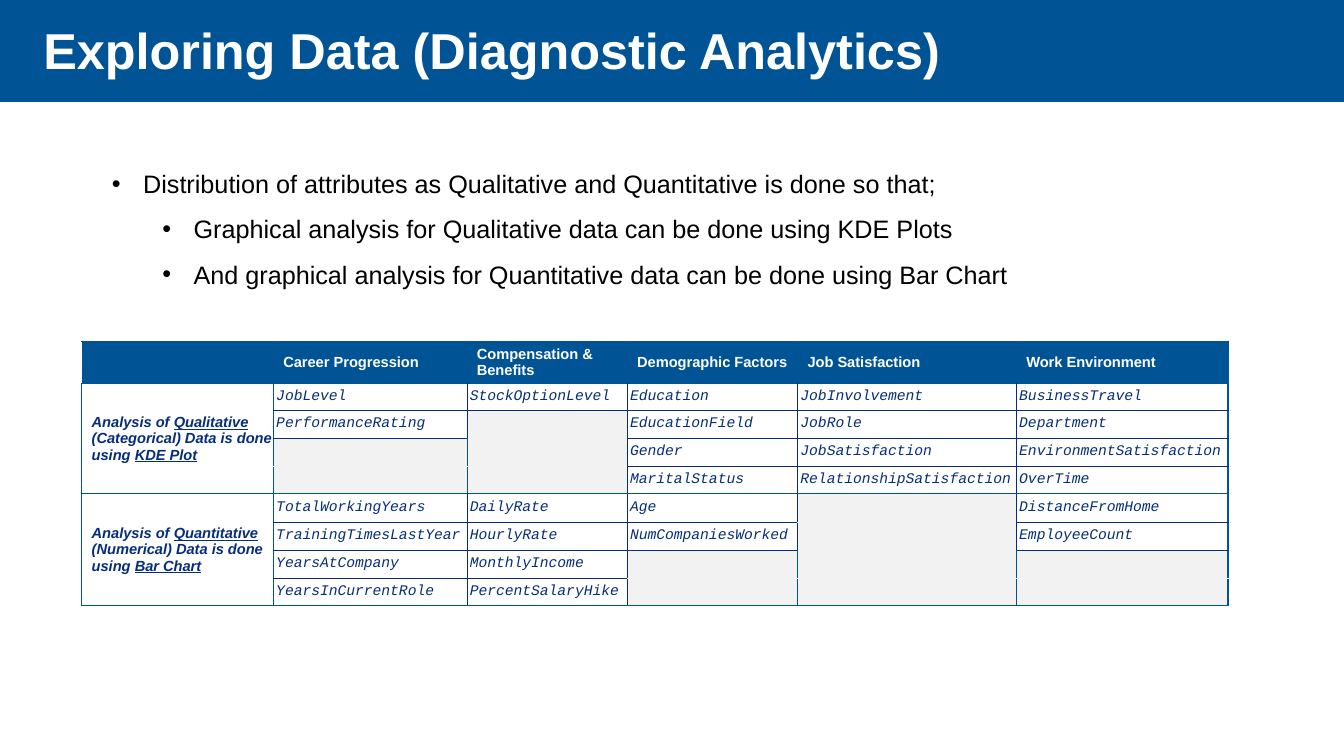
from dataclasses import dataclass

from lxml import etree
from pptx import Presentation
from pptx.dml.color import RGBColor
from pptx.enum.shapes import MSO_SHAPE
from pptx.enum.text import MSO_ANCHOR, MSO_AUTO_SIZE, PP_ALIGN
from pptx.oxml.ns import qn
from pptx.util import Inches, Pt

RECT = MSO_SHAPE.RECTANGLE
TOP, MIDDLE = MSO_ANCHOR.TOP, MSO_ANCHOR.MIDDLE
FIXED = MSO_AUTO_SIZE.NONE
LEFT = PP_ALIGN.LEFT

COLORS = {"blue": "005495", "navy": "062D7B", "grey": "F2F2F2",
          "white": "FFFFFF", "black": "000000"}
CELL_SIZE = 10.5
HEADER_HEIGHT, ROW_HEIGHT = 0.42, 0.26
COLUMN_WIDTHS = [1.9, 1.92, 1.59, 1.69, 2.17, 2.1]
HEADERS = ["", "Career Progression", "Compensation & Benefits",
           "Demographic Factors", "Job Satisfaction", "Work Environment"]
BULLETS = [
    (0, "Distribution of attributes as Qualitative and Quantitative is done so that;"),
    (1, "Graphical analysis for Qualitative data can be done using KDE Plots"),
    (1, "And graphical analysis for Quantitative data can be done using Bar Chart"),
]


@dataclass
class Group:
    kind: str
    category: str
    plot: str
    attributes: list[list[str]]


@dataclass
class Edge:
    color: str
    width: float


GROUPS = [
    Group("Qualitative", "Categorical", "KDE Plot", [
        ["JobLevel", "StockOptionLevel", "Education", "JobInvolvement", "BusinessTravel"],
        ["PerformanceRating", "", "EducationField", "JobRole", "Department"],
        ["", "", "Gender", "JobSatisfaction", "EnvironmentSatisfaction"],
        ["", "", "MaritalStatus", "RelationshipSatisfaction", "OverTime"],
    ]),
    Group("Quantitative", "Numerical", "Bar Chart", [
        ["TotalWorkingYears", "DailyRate", "Age", "", "DistanceFromHome"],
        ["TrainingTimesLastYear", "HourlyRate", "NumCompaniesWorked", "", "EmployeeCount"],
        ["YearsAtCompany", "MonthlyIncome", "", "", ""],
        ["YearsInCurrentRole", "PercentSalaryHike", "", "", ""],
    ]),
]
GROUP_ROWS = len(GROUPS[0].attributes)
GRID = [HEADERS] + [[g.kind] + row for g in GROUPS for row in g.attributes]
ROWS, COLS = len(GRID), len(HEADERS)


def rgb(name: str) -> RGBColor:
    return RGBColor.from_string(COLORS[name])


def add_text(p, text: str, *, size: float = CELL_SIZE, font: str = "Arial",
             color: str = "navy", bold: bool = False, italic: bool = False,
             underline: bool = False) -> None:
    r = p.add_run()
    r.text = text
    f = r.font
    f.name, f.size, f.bold, f.italic, f.underline = font, Pt(size), bold, italic, underline
    f.color.rgb = rgb(color)


def place(shape, left: float, top: float, width: float, height: float) -> None:
    shape.left, shape.top = Inches(left), Inches(top)
    shape.width, shape.height = Inches(width), Inches(height)


def add_title(s) -> None:
    title = s.shapes.title
    place(title, 0.33, 0.08, 12.72, 0.82)
    tf = title.text_frame
    tf.vertical_anchor, tf.auto_size = MIDDLE, FIXED
    p = tf.paragraphs[0]
    p.alignment = LEFT
    add_text(p, "Exploring Data (Diagnostic Analytics)", size=36, color="white", bold=True)

    band = s.shapes.add_shape(RECT, 0, 0, Inches(13.33), Inches(1))
    band.shadow.inherit = False
    band.fill.solid()
    band.fill.fore_color.rgb = rgb("blue")
    band.line.color.rgb = rgb("blue")
    band.line.width = Pt(2)
    title.element.addprevious(band.element)


def add_bullets(s) -> None:
    body = s.placeholders[1]
    place(body, 1.01, 1.47, 9.17, 1.41)
    tf = body.text_frame
    tf.word_wrap, tf.vertical_anchor, tf.auto_size = True, TOP, FIXED
    for i, (level, text) in enumerate(BULLETS):
        p = tf.add_paragraph() if i else tf.paragraphs[0]
        p.level, p.line_spacing, p.space_before = level, 1.5, Pt(0)
        pPr = p._p.get_or_add_pPr()
        pPr.set("marL", str(Inches(0.31 + 0.5 * level)))
        pPr.set("indent", str(Inches(-0.31)))
        etree.SubElement(pPr, qn("a:buFont"), typeface="Arial")
        etree.SubElement(pPr, qn("a:buChar"), char="•")
        add_text(p, text, size=18, color="black")


def horizontal_edge(row: int, col: int) -> Edge:
    """Line above the given row; row may be one past the last."""
    if row <= 1:
        return Edge("blue", 0.25)
    if (row - 1) % GROUP_ROWS == 0:
        return Edge("blue", 1)
    if not GRID[row - 1][col] and not GRID[row][col]:
        return Edge("grey", 0.25)
    return Edge("navy", 0.25)


def vertical_edge(row: int, col: int) -> Edge:
    """Line left of the given column; col may be one past the last."""
    outer = col in (0, COLS)
    if row == 0:
        return Edge("blue", 0.25 if outer else 1)
    if outer or col == 1:
        return Edge("blue", 1)
    if not GRID[row][col - 1] and not GRID[row][col]:
        return Edge("blue", 0.25)
    return Edge("navy", 0.25)


def set_borders(cell, row: int, col: int) -> None:
    edges = {"a:lnL": vertical_edge(row, col),
             "a:lnR": vertical_edge(row, col + 1),
             "a:lnT": horizontal_edge(row, col),
             "a:lnB": horizontal_edge(row + cell.span_height, col)}
    tcPr = cell._tc.get_or_add_tcPr()
    for i, (tag, edge) in enumerate(edges.items()):
        ln = etree.Element(qn(tag), w=str(Pt(edge.width)))
        fill = etree.SubElement(ln, qn("a:solidFill"))
        etree.SubElement(fill, qn("a:srgbClr"), val=COLORS[edge.color])
        tcPr.insert(i, ln)


def fill_cell(cell, row: int, col: int) -> None:
    text = GRID[row][col]
    p = cell.text_frame.paragraphs[0]
    cell.vertical_anchor = MIDDLE
    cell.margin_left = Inches(0.1 if row == 0 or col == 0 else 0.03)
    cell.margin_right = Inches(0.01)
    cell.margin_top = cell.margin_bottom = Inches(0.05)
    cell.fill.solid()
    cell.fill.fore_color.rgb = rgb("blue" if row == 0 else "white" if text else "grey")
    if cell.is_spanned or not text:
        etree.SubElement(p._p, qn("a:endParaRPr"), sz=str(int(CELL_SIZE * 100)))
    elif row == 0:
        add_text(p, text, color="white", bold=True)
    elif col == 0:
        group = GROUPS[(row - 1) // GROUP_ROWS]
        parts = ["Analysis of ", group.kind,
                 f" ({group.category}) Data is done using ", group.plot]
        for i, part in enumerate(parts):
            add_text(p, part, bold=True, italic=True, underline=i % 2 == 1)
    else:
        add_text(p, text, font="Courier New", italic=True)
    if not cell.is_spanned:
        set_borders(cell, row, col)


def add_attribute_table(s) -> None:
    height = HEADER_HEIGHT + ROW_HEIGHT * (ROWS - 1)
    table = s.shapes.add_table(ROWS, COLS, Inches(0.81), Inches(3.38),
                               Inches(sum(COLUMN_WIDTHS)), Inches(height)).table
    table.horz_banding = False
    for column, width in zip(table.columns, COLUMN_WIDTHS):
        column.width = Inches(width)
    for i, row in enumerate(table.rows):
        row.height = Inches(ROW_HEIGHT if i else HEADER_HEIGHT)
    for first in range(1, ROWS, GROUP_ROWS):
        table.cell(first, 0).merge(table.cell(first + GROUP_ROWS - 1, 0))
    for row in range(ROWS):
        for col in range(COLS):
            fill_cell(table.cell(row, col), row, col)


def main() -> None:
    prs = Presentation()
    prs.slide_width, prs.slide_height = Inches(13.33), Inches(7.5)
    s = prs.slides.add_slide(prs.slide_layouts[1])
    add_title(s)
    add_bullets(s)
    add_attribute_table(s)
    prs.save("out.pptx")


if __name__ == "__main__":
    main()
